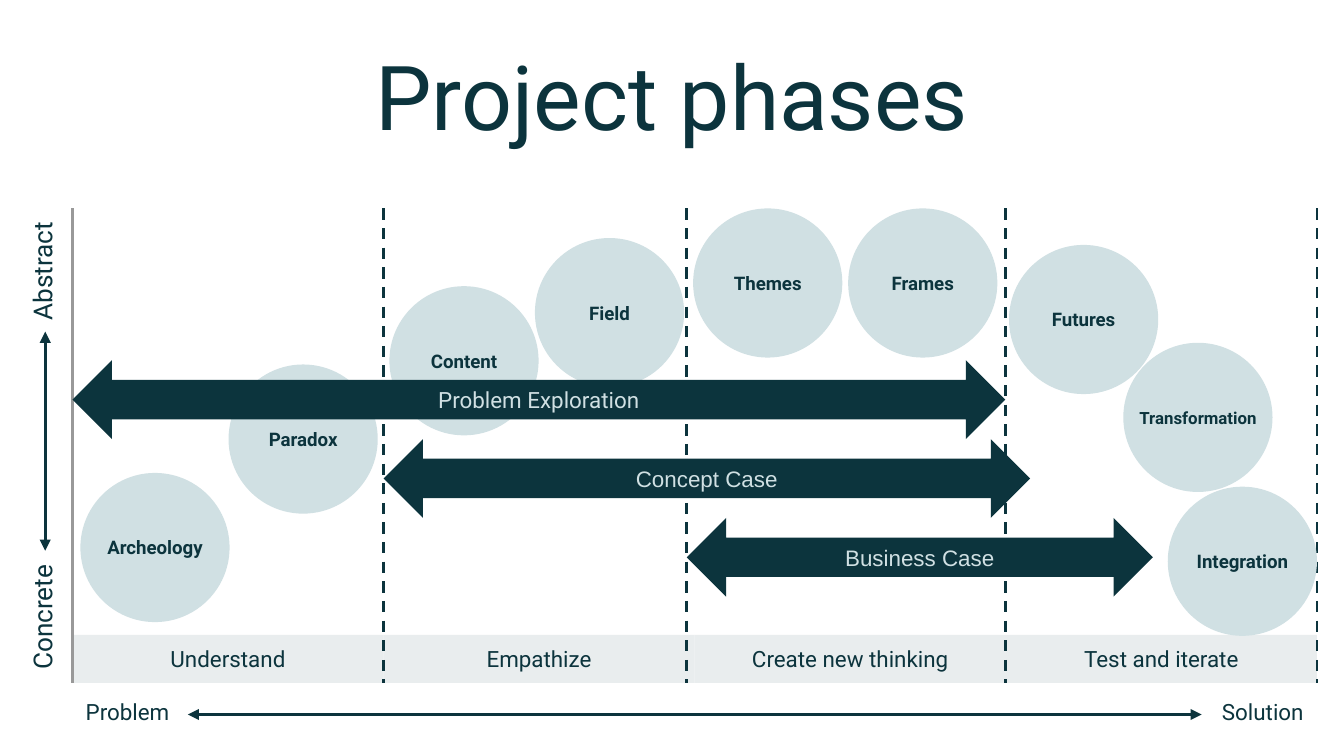
from dataclasses import dataclass

from lxml.etree import SubElement
from pptx import Presentation
from pptx.dml.color import RGBColor
from pptx.enum.dml import MSO_LINE
from pptx.enum.shapes import MSO_CONNECTOR, MSO_SHAPE
from pptx.enum.text import MSO_ANCHOR, MSO_AUTO_SIZE, PP_ALIGN
from pptx.oxml.ns import qn
from pptx.util import Cm, Pt


@dataclass(frozen=True)
class Theme:
    ink: RGBColor = RGBColor(0x0C, 0x34, 0x3D)
    bubble: RGBColor = RGBColor(0xD0, 0xE0, 0xE3)
    band: RGBColor = RGBColor(0xE9, 0xED, 0xEE)
    axis: RGBColor = RGBColor(0x99, 0x99, 0x99)
    font: str = "Roboto"
    case_font: str = "Arial"
    title: float = 48
    axis_label: float = 14
    body: float = 12
    bubble_label: float = 10
    small_label: float = 9
    line: float = 1.5


@dataclass(frozen=True)
class Box:
    """A region of the slide, in centimetres."""
    left: float
    top: float
    width: float
    height: float

    @property
    def lengths(self):
        return Cm(self.left), Cm(self.top), Cm(self.width), Cm(self.height)


THEME = Theme()
INSET = 0.25
LABEL_HEIGHT = 0.91
BUBBLE = 2.82

PHASES = ["Understand", "Empathize", "Create new thinking", "Test and iterate"]
DIVIDERS = [5.88, 11.61, 17.64, 23.52]

# Label, left and top within the plot, type size
BUBBLES = [
    ("Archeology", 0.15, 5.0, THEME.bubble_label),
    ("Paradox", 2.95, 2.95, THEME.bubble_label),
    ("Content", 5.99, 1.47, THEME.bubble_label),
    ("Field", 8.74, 0.56, THEME.bubble_label),
    ("Themes", 11.73, 0, THEME.bubble_label),
    ("Frames", 14.66, 0, THEME.bubble_label),
    ("Futures", 17.7, 0.69, THEME.bubble_label),
    ("Transformation", 19.86, 2.54, THEME.small_label),
    ("Integration", 20.7, 5.26, THEME.bubble_label),
]

# Label, left within the plot, width, font
CASES = [
    ("Problem Exploration", 0, 17.63, THEME.font),
    ("Concept Case", 5.88, 12.22, THEME.case_font),
    ("Business Case", 11.61, 8.81, THEME.case_font),
]


def write(shape, text, size, align=PP_ALIGN.CENTER, color=THEME.ink,
          font=THEME.font, bold=False):
    frame = shape.text_frame
    frame.word_wrap = True
    frame.auto_size = MSO_AUTO_SIZE.NONE
    frame.vertical_anchor = MSO_ANCHOR.MIDDLE
    frame.margin_left = frame.margin_right = Cm(INSET)
    frame.margin_top = frame.margin_bottom = Cm(INSET)
    paragraph = frame.paragraphs[0]
    paragraph.alignment = align
    run = paragraph.add_run()
    run.text = text
    run.font.name = font
    run.font.size = Pt(size)
    run.font.bold = bold
    run.font.color.rgb = color


def add_label(slide, box, text, size, rotation=0, **style):
    label = slide.shapes.add_textbox(*box.lengths)
    label.rotation = rotation
    write(label, text, size, **style)


def add_filled(slide, kind, box, color):
    shape = slide.shapes.add_shape(kind, *box.lengths)
    shape.shadow.inherit = False
    shape.fill.solid()
    shape.fill.fore_color.rgb = color
    shape.line.fill.background()
    return shape


def add_line(slide, start, end, color=THEME.ink, dashed=False, arrows=False):
    points = [Cm(value) for value in (*start, *end)]
    connector = slide.shapes.add_connector(MSO_CONNECTOR.STRAIGHT, *points)
    connector.line.color.rgb = color
    connector.line.width = Pt(THEME.line)
    if dashed:
        connector.line.dash_style = MSO_LINE.DASH
    properties = connector._element.spPr
    if arrows:
        outline = properties.find(qn("a:ln"))
        for end_tag in ("a:headEnd", "a:tailEnd"):
            SubElement(outline, qn(end_tag)).set("type", "triangle")
    SubElement(properties, qn("a:effectLst"))


def place_title(slide, box):
    title = slide.shapes.title
    title.left, title.top, title.width, title.height = box.lengths
    write(title, "Project phases", THEME.title)


def place_phases(slide, box):
    # Equal bands along the foot of the plot
    width = box.width / len(PHASES)
    top = box.top + box.height - LABEL_HEIGHT
    for index, phase in enumerate(PHASES):
        band = Box(box.left + index * width, top, width, LABEL_HEIGHT)
        shape = add_filled(slide, MSO_SHAPE.RECTANGLE, band, THEME.band)
        write(shape, phase, THEME.body)

    # Vertical axis and dashed dividers
    bottom = box.top + box.height
    add_line(slide, (box.left, box.top), (box.left, bottom), THEME.axis)
    for offset in DIVIDERS:
        x = box.left + offset
        add_line(slide, (x, box.top), (x, bottom), dashed=True)


def place_problem_axis(slide, box):
    y = box.top + box.height / 2 + 0.05
    add_line(slide, (box.left + 2.18, y), (box.left + 21.34, y), arrows=True)
    add_label(slide, Box(box.left, box.top, 2.82, box.height),
              "Problem", THEME.body, align=PP_ALIGN.LEFT)
    width = 4.7
    add_label(slide, Box(box.left + box.width - width, box.top, width, box.height),
              "Solution", THEME.body, align=PP_ALIGN.RIGHT)


def place_abstraction_axis(slide, box):
    center = box.left + box.width / 2
    x = center + 0.06
    add_line(slide, (x, box.top + 6.47), (x, box.top + 2.33), arrows=True)

    # Labels turned to read upwards, one at each end
    concrete, abstract = 3.07, 2.82
    for text, length, middle, align in (
        ("Concrete", concrete, box.top + box.height - concrete / 2, PP_ALIGN.LEFT),
        ("Abstract", abstract, box.top + abstract / 2, PP_ALIGN.RIGHT),
    ):
        label_box = Box(center - length / 2, middle - box.width / 2, length, box.width)
        add_label(slide, label_box, text, THEME.axis_label, rotation=270, align=align)


def place_bubbles(slide, box):
    for text, left, top, size in BUBBLES:
        circle = Box(box.left + left, box.top + top, BUBBLE, BUBBLE)
        add_filled(slide, MSO_SHAPE.OVAL, circle, THEME.bubble)
        label_top = circle.top + (BUBBLE - LABEL_HEIGHT) / 2
        add_label(slide, Box(circle.left, label_top, BUBBLE, LABEL_HEIGHT),
                  text, size, bold=True)


def place_cases(slide, box):
    height = box.height / len(CASES)
    for index, (text, left, width, font) in enumerate(CASES):
        arrow = Box(box.left + left, box.top + index * height, width, height)
        shape = add_filled(slide, MSO_SHAPE.LEFT_RIGHT_ARROW, arrow, THEME.ink)
        write(shape, text, THEME.body, color=THEME.bubble, font=font)


def main():
    presentation = Presentation()
    presentation.slide_width, presentation.slide_height = Cm(25.4), Cm(14.29)
    slide = presentation.slides.add_slide(presentation.slide_layouts[5])

    plot = Box(1.37, 3.94, 23.52, 8.97)
    place_title(slide, Box(0, 0, 25.4, 3.58))
    place_phases(slide, plot)
    place_problem_axis(slide, Box(plot.left, 13, plot.width, LABEL_HEIGHT))
    place_abstraction_axis(slide, Box(0.34, plot.top, LABEL_HEIGHT, plot.height))
    place_bubbles(slide, plot)
    place_cases(slide, Box(plot.left, 6.81, plot.width, 4.47))

    presentation.save("out.pptx")


if __name__ == "__main__":
    main()
